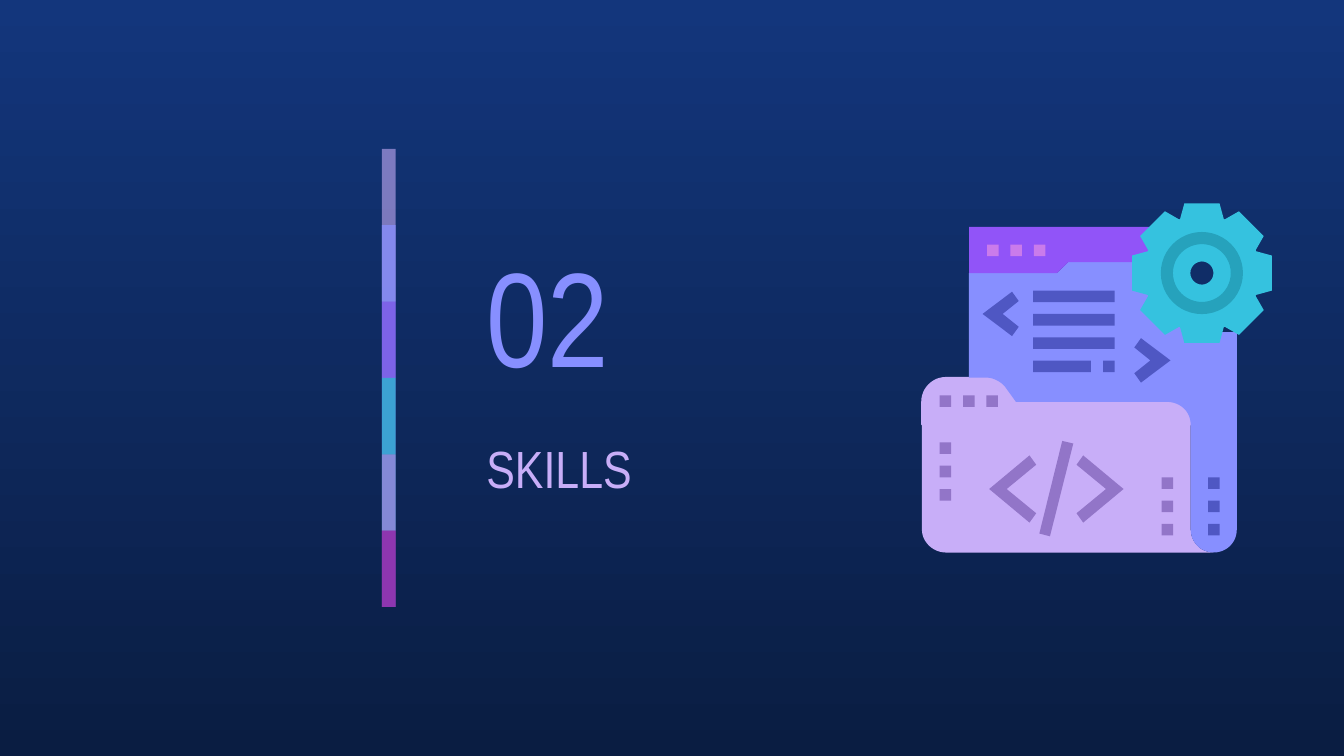
from dataclasses import dataclass
from math import cos, radians, sin

from lxml import etree
from pptx import Presentation
from pptx import util as u
from pptx.dml.color import RGBColor
from pptx.enum import shapes, text
from pptx.oxml import ns

Pt = u.Pt
FONT = "Arial Narrow"
PERIWINKLE, LILAC, VIOLET, TEAL = "878FFF", "C8AEF8", "9154F8", "35C2DF"
ORCHID, MAGENTA, INDIGO, MAUVE = "CA7BEB", "972CB4", "4F57C3", "9275C8"
DARK_TEAL = "26A2BC"
GEAR_X, GEAR_Y = 643.9, 146.3
DOT, STEP = 6.2, 12.5


@dataclass
class DotRun:
    left: float
    top: float
    color: str
    dx: float = 0
    dy: float = 0


@dataclass
class Chevron:
    tip_x: float
    tip_y: float
    direction: int
    reach: float
    half: float
    notch: float
    color: str


@dataclass
class Ring:
    outer: float
    inner: float
    color: str


@dataclass
class Band:
    color: str
    opacity: int


DOT_RUNS = [
    DotRun(528.8, 131, ORCHID, dx=STEP),
    DotRun(503.4, 211.8, MAUVE, dx=STEP),
    DotRun(503.4, 237, MAUVE, dy=STEP),
    DotRun(622.3, 255.7, MAUVE, dy=STEP),
    DotRun(647.2, 255.7, INDIGO, dy=STEP),
]
CHEVRONS = [
    Chevron(526.4, 168.2, 1, 15.8, 11.9, 10.8, INDIGO),
    Chevron(627.1, 193.1, -1, 15.8, 11.9, 10.8, INDIGO),
    Chevron(529.9, 262, 1, 21.6, 18, 9.4, MAUVE),
    Chevron(601.9, 262, -1, 21.6, 18, 9.4, MAUVE),
]
RINGS = [Ring(18.7, 6.2, TEAL), Ring(22, 15.5, DARK_TEAL)]
BANDS = [Band(LILAC, 59), Band(PERIWINKLE, 74), Band(VIOLET, 53),
         Band(TEAL, 76), Band(ORCHID, 56), Band(MAGENTA, 74)]

FOLDER_FRONT = [
    (493.9, 227.5), (493.9, 283.7), (493.9, 290.2, 499.7, 296, 506.9, 296),
    (650.2, 296), (643, 296, 637.9, 290.2, 637.9, 283.7), (637.9, 227.5)]
FOLDER_TAB = [
    (506.9, 202.3), (499.7, 202.3, 493.9, 208.1, 493.9, 215.3), (493.9, 227.5),
    (637.9, 227.5), (637.9, 220.3, 632.2, 215.3, 625, 215.3), (544.3, 215.3),
    (538.6, 207.4), (536.4, 204.5, 532.1, 202.3, 528.5, 202.3)]
WINDOW = [
    (572.4, 140.4), (566.2, 146.3), (519.1, 146.3), (519.1, 202.3), (528.5, 202.3),
    (532.1, 202.3, 536.4, 204.5, 538.6, 207.4), (544.3, 215.3), (625, 215.3),
    (632.2, 215.3, 637.9, 220.3, 637.9, 227.5), (637.9, 283.7),
    (637.9, 290.2, 643, 296, 650.2, 296), (657.2, 296, 662.6, 290.6, 662.6, 283.7),
    (662.6, 178), (643.9, 178), (618, 160), (612, 151), (612, 140.4)]
HEADER = [
    (519.1, 121.5), (519.1, 146.3), (566.2, 146.3), (572.4, 140.4), (612, 140.4),
    (612, 136), (618, 134), (615.6, 121.5)]
SLASH = [(569.1, 236.2), (556.8, 285.8), (562.5, 287.3), (575, 237.6)]


def rgb(color: str) -> RGBColor:
    return RGBColor.from_string(color)


def paint(item, color: str, opacity: int = 100, outline: float = 0) -> None:
    item.shadow.inherit = False
    item.fill.solid()
    item.fill.fore_color.rgb = rgb(color)
    if opacity < 100:
        tint = item.fill._xPr.find(".//" + ns.qn("a:srgbClr"))
        etree.SubElement(tint, ns.qn("a:alpha"), val=str(opacity * 1000))
    if outline:
        item.line.color.rgb = rgb(color)
        item.line.width = Pt(outline)
    else:
        item.line.fill.background()


def flatten(outline: list[tuple], steps: int = 12) -> list[tuple]:
    points = []
    for part in outline:
        if len(part) == 2:
            points.append(part)
            continue
        x0, y0 = points[-1]
        x1, y1, x2, y2, x3, y3 = part
        for i in range(1, steps + 1):
            t = i / steps
            a, b, c, d = (1 - t) ** 3, 3 * t * (1 - t) ** 2, 3 * t * t * (1 - t), t ** 3
            points.append((a * x0 + b * x1 + c * x2 + d * x3,
                           a * y0 + b * y1 + c * y2 + d * y3))
    return points


def draw_outline(slide, *contours: list[tuple], color: str, outline: float = 0) -> None:
    paths = [[(Pt(x), Pt(y)) for x, y in flatten(contour)] for contour in contours]
    builder = slide.shapes.build_freeform(*paths[0][0], scale=1.0)
    builder.add_line_segments(paths[0][1:], close=True)
    for path in paths[1:]:
        builder.move_to(*path[0])
        builder.add_line_segments(path[1:], close=True)
    paint(builder.convert_to_shape(), color, outline=outline)


def draw_rect(slide, left: float, top: float, width: float, height: float,
              color: str, opacity: int = 100) -> None:
    rect = slide.shapes.add_shape(shapes.MSO_SHAPE.RECTANGLE,
                                  Pt(left), Pt(top), Pt(width), Pt(height))
    paint(rect, color, opacity)


def around_gear(x: float, y: float, angle: float) -> tuple[float, float]:
    a = radians(angle)
    return GEAR_X + x * cos(a) - y * sin(a), GEAR_Y + x * sin(a) + y * cos(a)


def draw_gear(slide) -> None:
    tooth = [(29, -11.7), (37.4, -9.4), (37.4, 9.4), (29, 11.7)]
    teeth = [around_gear(x, y, 45 * i) for i in range(8) for x, y in tooth]
    hole = [around_gear(18.7, 0, -6 * i) for i in range(60)]
    draw_outline(slide, teeth, hole, color=TEAL)


def draw_ring(slide, ring: Ring) -> None:
    size = 2 * ring.outer
    donut = slide.shapes.add_shape(shapes.MSO_SHAPE.DONUT, Pt(GEAR_X - ring.outer),
                                   Pt(GEAR_Y - ring.outer), Pt(size), Pt(size))
    donut.adjustments[0] = (ring.outer - ring.inner) / size
    paint(donut, ring.color)


def draw_chevron(slide, c: Chevron) -> None:
    offsets = [(0, 0), (c.reach, -c.half), (c.reach + 3.6, 5 - c.half),
               (c.notch, 0), (c.reach + 3.6, c.half - 5), (c.reach, c.half)]
    draw_outline(slide, [(c.tip_x + c.direction * x, c.tip_y + y) for x, y in offsets],
                 color=c.color)


def write(holder, wording: str, *, left: float, top: float, width: float,
          height: float, size: float, color: str) -> None:
    holder.left, holder.top = Pt(left), Pt(top)
    holder.width, holder.height = Pt(width), Pt(height)
    frame = holder.text_frame
    frame.text = wording
    frame.word_wrap = True
    frame.auto_size = text.MSO_AUTO_SIZE.NONE
    frame.vertical_anchor = text.MSO_ANCHOR.MIDDLE
    frame.margin_left = frame.margin_right = Pt(7.2)
    frame.margin_top = frame.margin_bottom = Pt(7.2)
    line = frame.paragraphs[0]
    line.alignment = text.PP_ALIGN.LEFT
    line.space_before = Pt(0)
    line.font.name, line.font.size = FONT, Pt(size)
    line.font.color.rgb = rgb(color)


def main() -> None:
    deck = Presentation()
    deck.slide_width, deck.slide_height = Pt(720), Pt(405)
    slide = deck.slides.add_slide(deck.slide_layouts[0])
    backdrop = slide.background.fill
    backdrop.gradient()
    backdrop.gradient_angle = 270
    for stop, color in zip(backdrop.gradient_stops, ("13367C", "0A1D42")):
        stop.color.rgb = rgb(color)

    number, heading = slide.placeholders
    write(number, "02", left=253.4, top=119.5, width=126, height=97.2,
          size=72, color=PERIWINKLE)
    write(heading, "SKILLS", left=253.4, top=216, width=206.6, height=69.1,
          size=28, color=LILAC)

    draw_outline(slide, FOLDER_FRONT, color=LILAC)
    draw_outline(slide, FOLDER_TAB, color=LILAC, outline=0.75)
    draw_outline(slide, WINDOW, color=PERIWINKLE)
    draw_outline(slide, HEADER, color=VIOLET)
    draw_gear(slide)
    for ring in RINGS:
        draw_ring(slide, ring)
    for run in DOT_RUNS:
        for i in range(3):
            draw_rect(slide, run.left + i * run.dx, run.top + i * run.dy, DOT, DOT, run.color)
    for i, width in enumerate((43.7, 43.7, 43.7, 31)):
        draw_rect(slide, 553.5, 155.7 + i * STEP, width, DOT, INDIGO)
    draw_rect(slide, 591, 155.7 + 3 * STEP, DOT, DOT, INDIGO)
    for chevron in CHEVRONS:
        draw_chevron(slide, chevron)
    draw_outline(slide, SLASH, color=MAUVE)

    band_height = 40.9
    for i, band in enumerate(BANDS):
        span = 1 if band is BANDS[-1] else 2
        draw_rect(slide, 204.6, 79.8 + i * band_height, 7.4, span * band_height,
                  band.color, band.opacity)
    deck.save("out.pptx")


if __name__ == "__main__":
    main()
